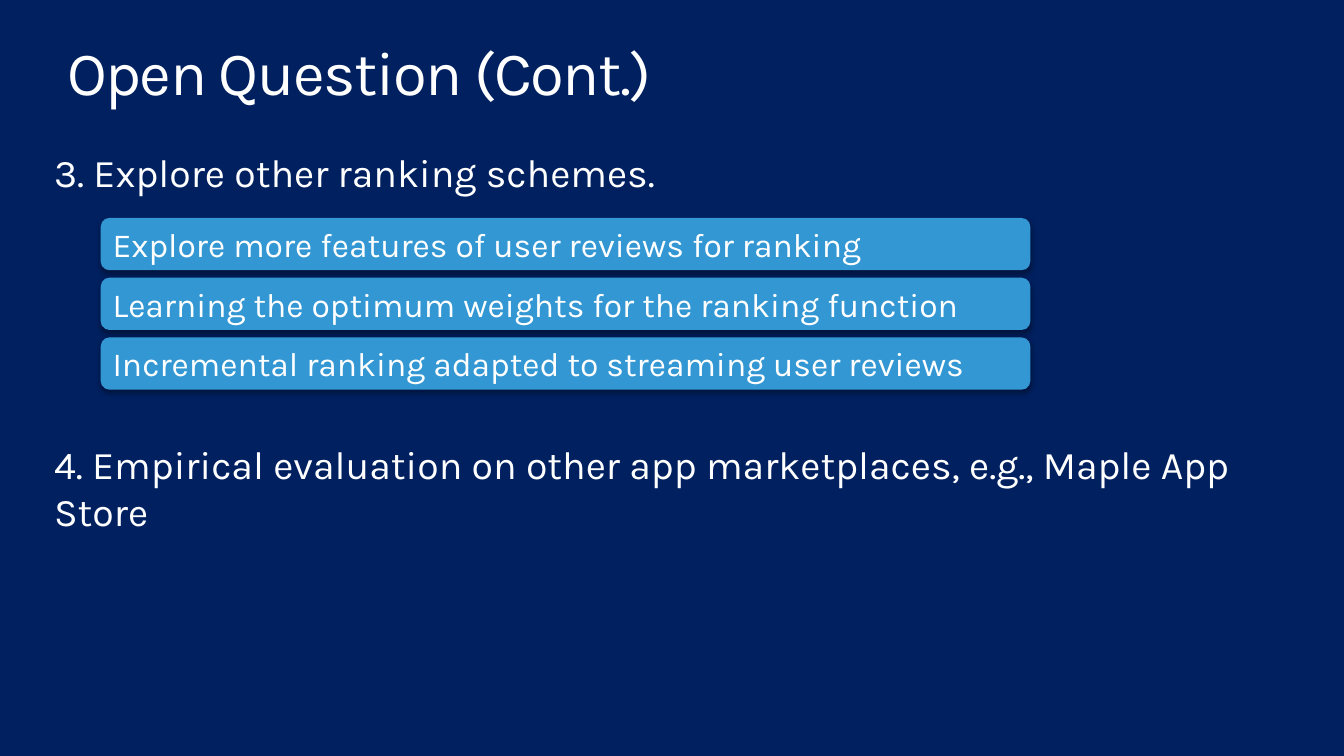
from lxml import etree
from pptx import Presentation
from pptx.dml.color import RGBColor
from pptx.enum import shapes, text
from pptx.oxml.ns import qn
from pptx.util import Pt

FONT = "Karla"
WHITE, NAVY, BLUE = "FFFFFF", "002060", "3397D3"
RANKING_IDEAS = [
    "Explore more features of user reviews for ranking",
    "Learning the optimum weights for the ranking function",
    "Incremental ranking adapted to streaming user reviews",
]


def set_fill(fill, color):
    fill.solid()
    fill.fore_color.rgb = RGBColor.from_string(color)


def place(sp, left, top, width, height):
    sp.left, sp.top, sp.width, sp.height = Pt(left), Pt(top), Pt(width), Pt(height)


def write(sp, words, size, inset=(5, 3), anchor=text.MSO_ANCHOR.TOP,
          autosize=text.MSO_AUTO_SIZE.SHAPE_TO_FIT_TEXT):
    """Put one left-aligned run in the shape; inset is (sides, top and bottom)."""
    tf = sp.text_frame
    tf.word_wrap = True
    tf.auto_size = autosize
    tf.vertical_anchor = anchor
    tf.margin_left = tf.margin_right = Pt(inset[0])
    tf.margin_top = tf.margin_bottom = Pt(inset[1])
    p = tf.paragraphs[0]
    p.alignment = text.PP_ALIGN.LEFT
    r = p.add_run()
    r.text = words
    r.font.name = FONT
    r.font.size = Pt(size)
    set_fill(r.font.fill, WHITE)
    return p


def add_title(s, words):
    sp = s.shapes.title
    place(sp, 36, 22.5, 548, 36)
    p = write(sp, words, 33, inset=(0, 0))
    p.line_spacing = 0.9
    p.runs[0].font._element.set("spc", "-80")


def add_question(s, words, top):
    sp = s.shapes.add_textbox(Pt(24), Pt(top), Pt(654), Pt(31))
    write(sp, words, 21)


def add_soft_shadow(sp):
    sp.shadow.inherit = False
    effects = sp._element.spPr.find(qn("a:effectLst"))
    shadow = etree.SubElement(effects, qn("a:outerShdw"), blurRad=str(Pt(3.1)),
                              dist=str(Pt(1.8)), dir="5400000", rotWithShape="0")
    color = etree.SubElement(shadow, qn("a:srgbClr"), val="000000")
    etree.SubElement(color, qn("a:alpha"), val="35000")


def add_idea(s, words, top):
    sp = s.shapes.add_shape(shapes.MSO_SHAPE.ROUNDED_RECTANGLE,
                            Pt(54), Pt(top), Pt(498), Pt(28))
    set_fill(sp.fill, BLUE)
    sp.line.fill.background()
    add_soft_shadow(sp)
    write(sp, words, 18, anchor=text.MSO_ANCHOR.MIDDLE,
          autosize=text.MSO_AUTO_SIZE.NONE)


def main():
    prs = Presentation()
    prs.slide_width, prs.slide_height = Pt(720), Pt(405)
    s = prs.slides.add_slide(prs.slide_layouts[5])
    set_fill(s.background.fill, NAVY)

    add_title(s, "Open Question (Cont.)")
    add_question(s, "3. Explore other ranking schemes.", 76.5)
    for i, idea in enumerate(RANKING_IDEAS):
        add_idea(s, idea, 116.8 + 32 * i)
    add_question(s, "4. Empirical evaluation on other app marketplaces, "
                    "e.g., Maple App Store", 232.8)
    prs.save("out.pptx")


if __name__ == "__main__":
    main()
